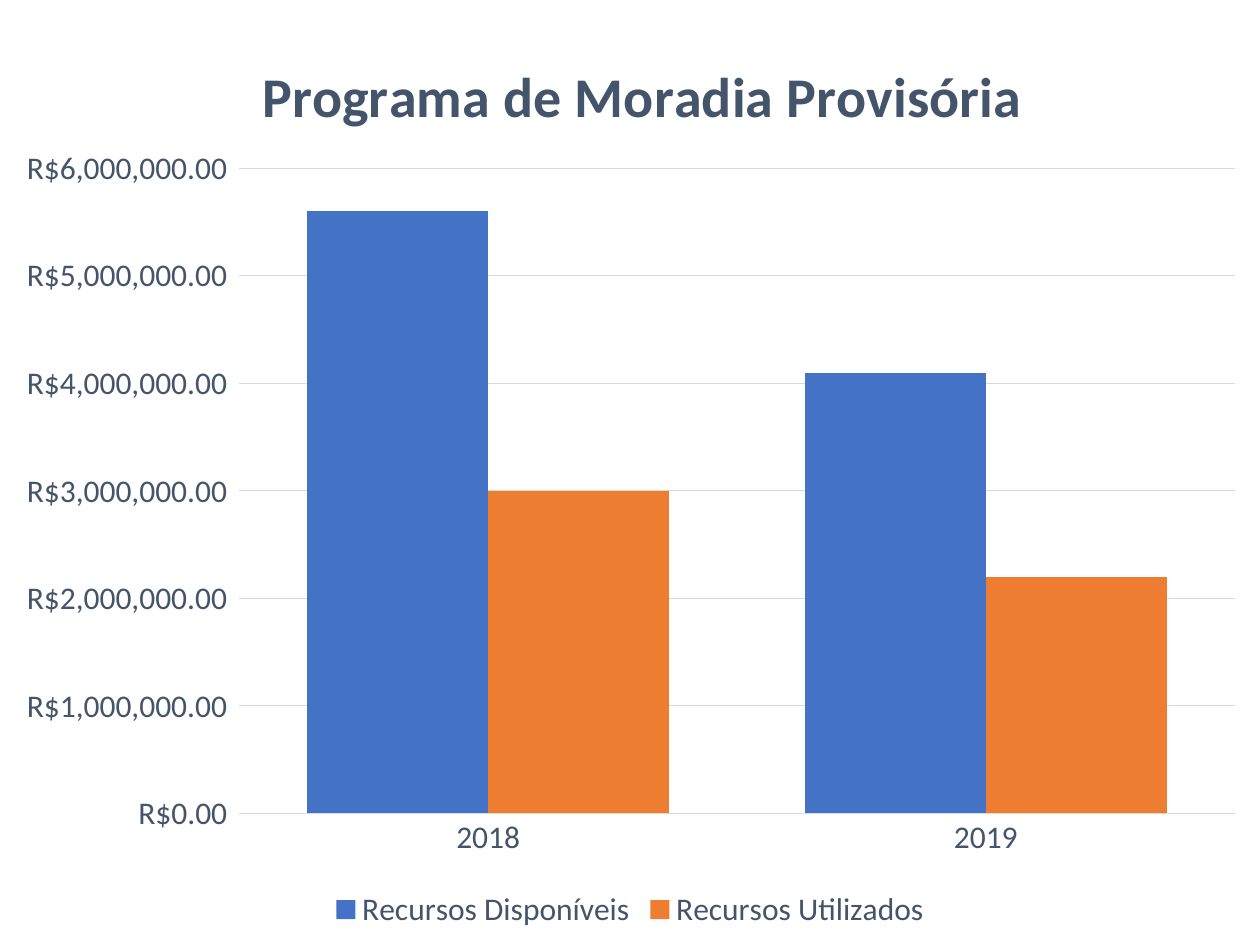
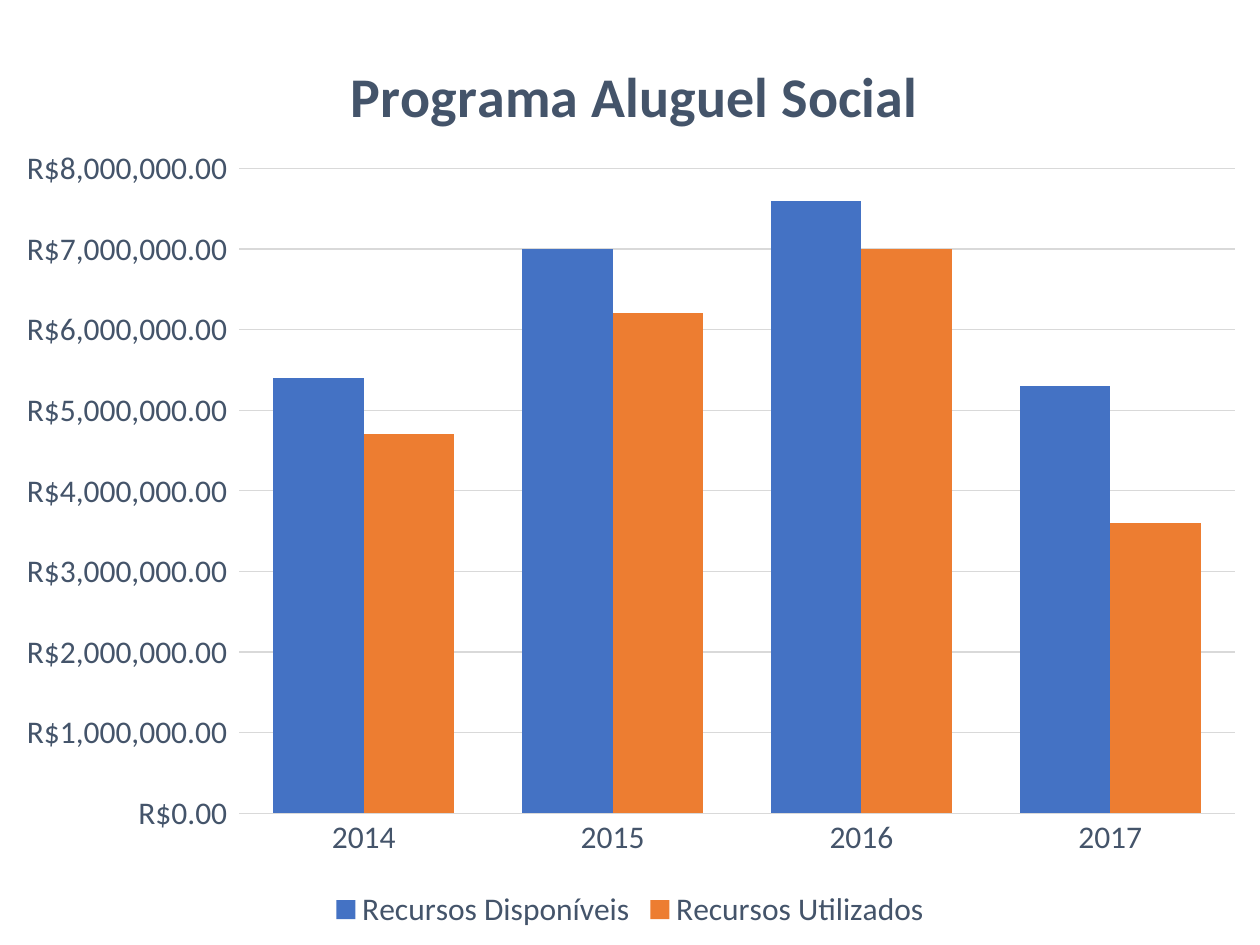
"""Two slides comparing available and used housing funds per year."""
from dataclasses import dataclass

import lxml.etree
import pptx
import pptx.chart.data
import pptx.dml.color
import pptx.enum.chart
import pptx.oxml.ns
import pptx.util

FONT = "Calibri"
TEXT_COLOR = "44546A"
GRID_COLOR = "D9D9D9"
AVAILABLE_COLOR = "4472C4"
USED_COLOR = "ED7D31"
CURRENCY = '"R$"#,##0.00_);[Red]\\("R$"#,##0.00\\)'
MILLION = 1_000_000
PLOT_FRAME = {"x": 0.19, "y": 0.18, "w": 0.79, "h": 0.69}
TITLE_TOP = 0.05


@dataclass
class Program:
    """A housing program, with its yearly funds in millions of reais."""
    title: str
    title_left: float
    years: list[str]
    available: list[float]
    used: list[float]
    axis_top: int


PROGRAMS = [
    Program("Programa de Moradia Provisória", 0.2, ["2018", "2019"],
            [5.6, 4.1], [3.0, 2.2], 6),
    Program("Programa Aluguel Social", 0.27, ["2014", "2015", "2016", "2017"],
            [5.4, 7.0, 7.6, 5.3], [4.7, 6.2, 7.0, 3.6], 8),
]


def color(hex_code: str) -> pptx.dml.color.RGBColor:
    """Turn a hex string into a colour."""
    return pptx.dml.color.RGBColor.from_string(hex_code)


def style_font(font, size: int, bold: bool = False) -> None:
    """Apply the shared typeface and text colour."""
    font.name = FONT
    font.size = pptx.util.Pt(size)
    font.bold = bold
    font.color.rgb = color(TEXT_COLOR)


def place(element, index: int, frame: dict[str, float], inner: bool = False) -> None:
    """Give a chart part a fixed place, in fractions of the chart."""
    qn = pptx.oxml.ns.qn
    for automatic in element.findall(qn("c:layout")):
        element.remove(automatic)
    layout = lxml.etree.Element(qn("c:layout"))
    manual = lxml.etree.SubElement(layout, qn("c:manualLayout"))
    settings = [("layoutTarget", "inner")] if inner else []
    settings += [(f"{side}Mode", "edge") for side in ("x", "y")]
    settings += [(side, str(value)) for side, value in frame.items()]
    for tag, value in settings:
        lxml.etree.SubElement(manual, qn(f"c:{tag}")).set("val", value)
    element.insert(index, layout)


def style_axis(axis) -> None:
    """Hide the axis line and ticks and style the labels."""
    axis.major_tick_mark = pptx.enum.chart.XL_TICK_MARK.NONE
    axis.minor_tick_mark = pptx.enum.chart.XL_TICK_MARK.NONE
    axis.format.line.fill.background()
    style_font(axis.tick_labels.font, 18)


def style_value_axis(axis, top: int) -> None:
    """Set the currency scale and the gridlines."""
    style_axis(axis)
    axis.minimum_scale = 0
    axis.maximum_scale = top * MILLION
    axis.major_unit = MILLION
    axis.tick_labels.number_format = CURRENCY
    axis.tick_labels.number_format_is_linked = False
    axis.has_major_gridlines = True
    gridline = axis.major_gridlines.format.line
    gridline.width = pptx.util.Pt(0.75)
    gridline.color.rgb = color(GRID_COLOR)


def add_title(chart, program: Program) -> None:
    """Write the program name above the columns."""
    chart.has_title = True
    heading = chart.chart_title.text_frame.paragraphs[0].add_run()
    heading.text = program.title
    style_font(heading.font, 32, bold=True)
    place(chart.chart_title._element, 1,
          {"x": program.title_left, "y": TITLE_TOP})


def add_program_slide(deck, program: Program) -> None:
    """Add a slide filled by the chart of one program."""
    funds = pptx.chart.data.CategoryChartData(number_format=CURRENCY)
    funds.categories = program.years
    for name, amounts in (("Recursos Disponíveis", program.available),
                          ("Recursos Utilizados", program.used)):
        funds.add_series(name, [round(amount * MILLION) for amount in amounts])

    slide = deck.slides.add_slide(deck.slide_layouts[6])
    chart = slide.shapes.add_chart(
        pptx.enum.chart.XL_CHART_TYPE.COLUMN_CLUSTERED,
        pptx.util.Cm(0), pptx.util.Cm(0),
        deck.slide_width, pptx.util.Cm(18.85), funds).chart
    chart.font.name = FONT
    chart.font.size = pptx.util.Pt(10)
    add_title(chart, program)

    columns = chart.plots[0]
    columns.gap_width = 75
    columns.vary_by_categories = False
    for series, fill in zip(columns.series, (AVAILABLE_COLOR, USED_COLOR)):
        series.format.fill.solid()
        series.format.fill.fore_color.rgb = color(fill)
    place(chart._chartSpace.chart.plotArea, 0, PLOT_FRAME, inner=True)

    style_axis(chart.category_axis)
    style_value_axis(chart.value_axis, program.axis_top)
    chart.has_legend = True
    chart.legend.position = pptx.enum.chart.XL_LEGEND_POSITION.BOTTOM
    chart.legend.include_in_layout = False
    style_font(chart.legend.font, 18)


def main() -> None:
    """Build and save the deck."""
    deck = pptx.Presentation()
    deck.slide_width = pptx.util.Cm(25.4)
    deck.slide_height = pptx.util.Cm(19.05)
    for program in PROGRAMS:
        add_program_slide(deck, program)
    deck.save("out.pptx")


main()
